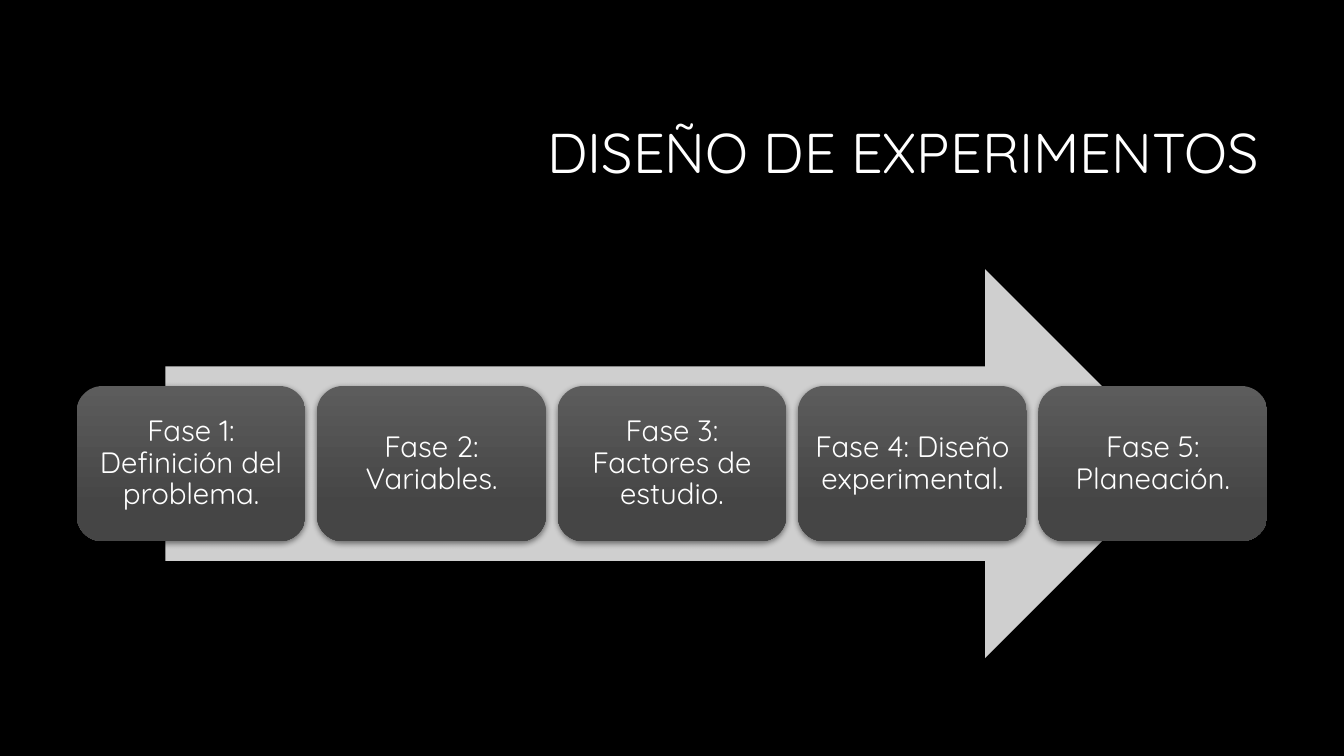
"""Build the slide on the five phases of experimental design."""
from dataclasses import dataclass

from lxml.etree import SubElement
from pptx import Presentation
from pptx.dml.color import RGBColor
from pptx.enum.shapes import MSO_SHAPE as SHAPE
from pptx.enum.text import MSO_ANCHOR as ANCHOR, PP_ALIGN as ALIGN
from pptx.oxml.ns import qn
from pptx.shapes.autoshape import Shape
from pptx.shapes.shapetree import GroupShapes
from pptx.text.text import TextFrame
from pptx.util import Inches, Pt

BLACK = RGBColor(0x00, 0x00, 0x00)
WHITE = RGBColor(0xFF, 0xFF, 0xFF)
ARROW_GRAY = RGBColor(0xCF, 0xCF, 0xCF)
BOX_TOP = RGBColor(0x5C, 0x5C, 0x5C)
BOX_BOTTOM = RGBColor(0x45, 0x45, 0x45)
FONT = "Quicksand"
FIRST_LEFT, LAST_LEFT = 0.76, 10.3


@dataclass
class Phase:
    number: int
    name: str

    @property
    def label(self) -> str:
        return f"Fase {self.number}: {self.name}"


PHASES = [
    Phase(1, "Definición del problema."),
    Phase(2, "Variables."),
    Phase(3, "Factores de estudio."),
    Phase(4, "Diseño experimental."),
    Phase(5, "Planeación."),
]


def write(tf: TextFrame, text: str, size: float, align: ALIGN) -> None:
    tf.word_wrap = True
    tf.vertical_anchor = ANCHOR.MIDDLE
    p = tf.paragraphs[0]
    p.alignment = align
    p.line_spacing = 0.9
    r = p.add_run()
    r.text = text
    r.font.name = FONT
    r.font.size = Pt(size)
    r.font.color.rgb = WHITE


def add_soft_shadow(sp: Shape) -> None:
    effects = sp.element.spPr.find(qn("a:effectLst"))
    shadow = SubElement(effects, qn("a:outerShdw"), blurRad=str(Pt(4.5)),
                        dist=str(Pt(1.5)), dir="5400000", rotWithShape="0")
    color = SubElement(shadow, qn("a:srgbClr"), val=str(BLACK))
    SubElement(color, qn("a:alpha"), val="48000")


def add_arrow(shapes: GroupShapes) -> None:
    sp = shapes.add_shape(SHAPE.RIGHT_ARROW, Inches(1.64), Inches(2.67),
                          Inches(10.06), Inches(3.86))
    sp.fill.solid()
    sp.fill.fore_color.rgb = ARROW_GRAY
    sp.line.fill.background()
    sp.shadow.inherit = False


def add_phase(shapes: GroupShapes, phase: Phase) -> None:
    pitch = (LAST_LEFT - FIRST_LEFT) / (len(PHASES) - 1)
    left = FIRST_LEFT + (phase.number - 1) * pitch
    sp = shapes.add_shape(SHAPE.ROUNDED_RECTANGLE, Inches(left), Inches(3.83),
                          Inches(2.27), Inches(1.54))
    sp.fill.gradient()
    sp.fill.gradient_angle = 270
    for stop, (position, color) in zip(sp.fill.gradient_stops,
                                       [(0, BOX_TOP), (0.78, BOX_BOTTOM)]):
        stop.position = position
        stop.color.rgb = color
    sp.line.fill.background()
    sp.shadow.inherit = False
    add_soft_shadow(sp)
    tf = sp.text_frame
    tf.margin_left = tf.margin_right = Inches(0.09)
    tf.margin_top = tf.margin_bottom = Inches(0.09)
    write(tf, phase.label, 21, ALIGN.CENTER)


def main() -> None:
    prs = Presentation()
    prs.slide_width, prs.slide_height = Inches(13.33), Inches(7.5)
    s = prs.slides.add_slide(prs.slide_layouts.get_by_name("Title Only"))
    s.background.fill.solid()
    s.background.fill.fore_color.rgb = BLACK

    title = s.shapes.title
    title.left, title.top = Inches(3.17), Inches(0.84)
    title.width, title.height = Inches(9.42), Inches(1.41)
    write(title.text_frame, "DISEÑO DE EXPERIMENTOS", 40, ALIGN.RIGHT)

    process = s.shapes.add_group_shape()
    add_arrow(process.shapes)
    for phase in PHASES:
        add_phase(process.shapes, phase)
    prs.save("out.pptx")


if __name__ == "__main__":
    main()
